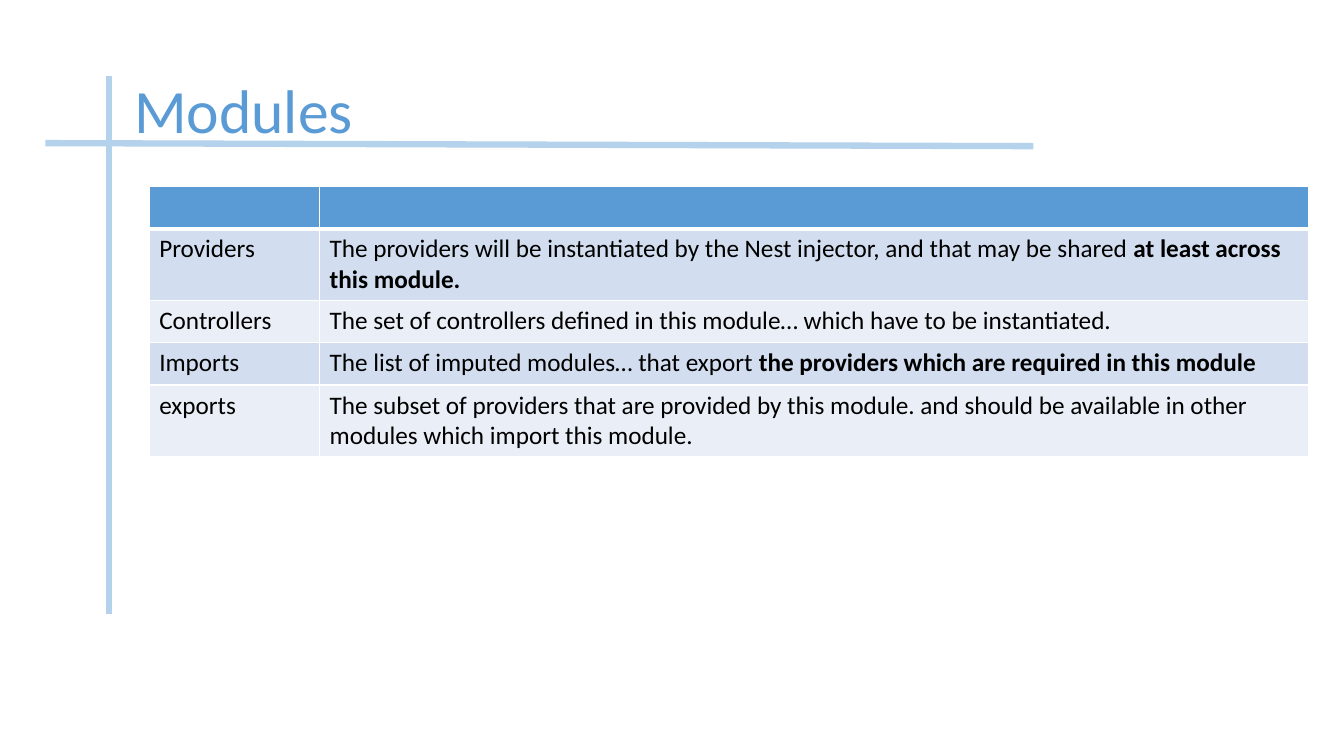
from lxml import etree
from pptx import Presentation
from pptx.dml.color import RGBColor
from pptx.enum import shapes, text
from pptx.oxml import ns
from pptx.util import Inches, Pt

FONT = "Calibri"
COLORS = {
    "accent": "5B9BD5", "rule": "B5D2EC", "odd_row": "D2DEEF",
    "even_row": "EAEFF7", "border": "FFFFFF", "text": "000000",
}

# Content: property, plain description, bold ending
TITLE = "Modules"
ROWS = [
    ("", "", ""),
    ("Providers",
     "The providers will be instantiated by the Nest injector, and that may be shared ",
     "at least across this module."),
    ("Controllers",
     "The set of controllers defined in this module… which have to be instantiated.", ""),
    ("Imports", "The list of imputed modules… that export ",
     "the providers which are required in this module"),
    ("exports",
     "The subset of providers that are provided by this module. and should be "
     "available in other modules which import this module.", ""),
]
RULES = [(0.45, 1.42, 10.25, 1.45), (1.08, 0.75, 1.08, 6.09)]
COLUMN_WIDTHS = (1.69, 9.81)
ROW_HEIGHT = 0.42


def color(name):
    return RGBColor.from_string(COLORS[name])


def style_run(run, size, color_name, bold=False):
    run.font.name = FONT
    run.font.size = Pt(size)
    run.font.bold = bold
    run.font.color.rgb = color(color_name)


def add_borders(cell, bottom_width):
    properties = cell._tc.get_or_add_tcPr()
    for side, width in (("L", 1), ("R", 1), ("T", 1), ("B", bottom_width)):
        line = etree.SubElement(properties, ns.qn(f"a:ln{side}"), w=str(Pt(width)))
        fill = etree.SubElement(line, ns.qn("a:solidFill"))
        etree.SubElement(fill, ns.qn("a:srgbClr"), val=COLORS["border"])


def fill_cell(cell, parts, fill_name, bottom_width):
    add_borders(cell, bottom_width)
    cell.fill.solid()
    cell.fill.fore_color.rgb = color(fill_name)
    paragraph = cell.text_frame.paragraphs[0]
    paragraph.font.size = Pt(18)
    for content, bold in parts:
        if content:
            run = paragraph.add_run()
            run.text = content
            style_run(run, 18, "text", bold)


presentation = Presentation()
presentation.slide_width, presentation.slide_height = Inches(13.33), Inches(7.5)
slide = presentation.slides.add_slide(presentation.slide_layouts[5])

# Title, indented past the vertical rule
title = slide.shapes.title
title.left, title.top = Inches(0.68), Inches(0.4)
title.width, title.height = Inches(11.74), Inches(1.45)
frame = title.text_frame
frame.text = TITLE
frame.margin_left = Inches(0.65)
frame.vertical_anchor = text.MSO_ANCHOR.MIDDLE
paragraph = frame.paragraphs[0]
paragraph.alignment = text.PP_ALIGN.LEFT
paragraph.line_spacing = 0.9
style_run(paragraph.runs[0], 44, "accent")

# Crossing rules
for ends in RULES:
    rule = slide.shapes.add_connector(
        shapes.MSO_CONNECTOR.STRAIGHT, *(Inches(value) for value in ends))
    rule.line.color.rgb = color("rule")
    rule.line.width = Pt(4.5)
    etree.SubElement(rule._element.spPr, ns.qn("a:effectLst"))

# Table of module properties
table = slide.shapes.add_table(
    len(ROWS), len(COLUMN_WIDTHS), Inches(1.48), Inches(1.85),
    Inches(sum(COLUMN_WIDTHS)), Inches(ROW_HEIGHT * len(ROWS))).table
for column, width in zip(table.columns, COLUMN_WIDTHS):
    column.width = Inches(width)
for index, (name, description, emphasis) in enumerate(ROWS):
    table.rows[index].height = Inches(ROW_HEIGHT)
    if index == 0:
        fill_name, bottom_width = "accent", 3
    else:
        fill_name, bottom_width = ("odd_row" if index % 2 else "even_row"), 1
    fill_cell(table.cell(index, 0), [(name, False)], fill_name, bottom_width)
    fill_cell(table.cell(index, 1), [(description, False), (emphasis, True)],
              fill_name, bottom_width)

presentation.save("out.pptx")
